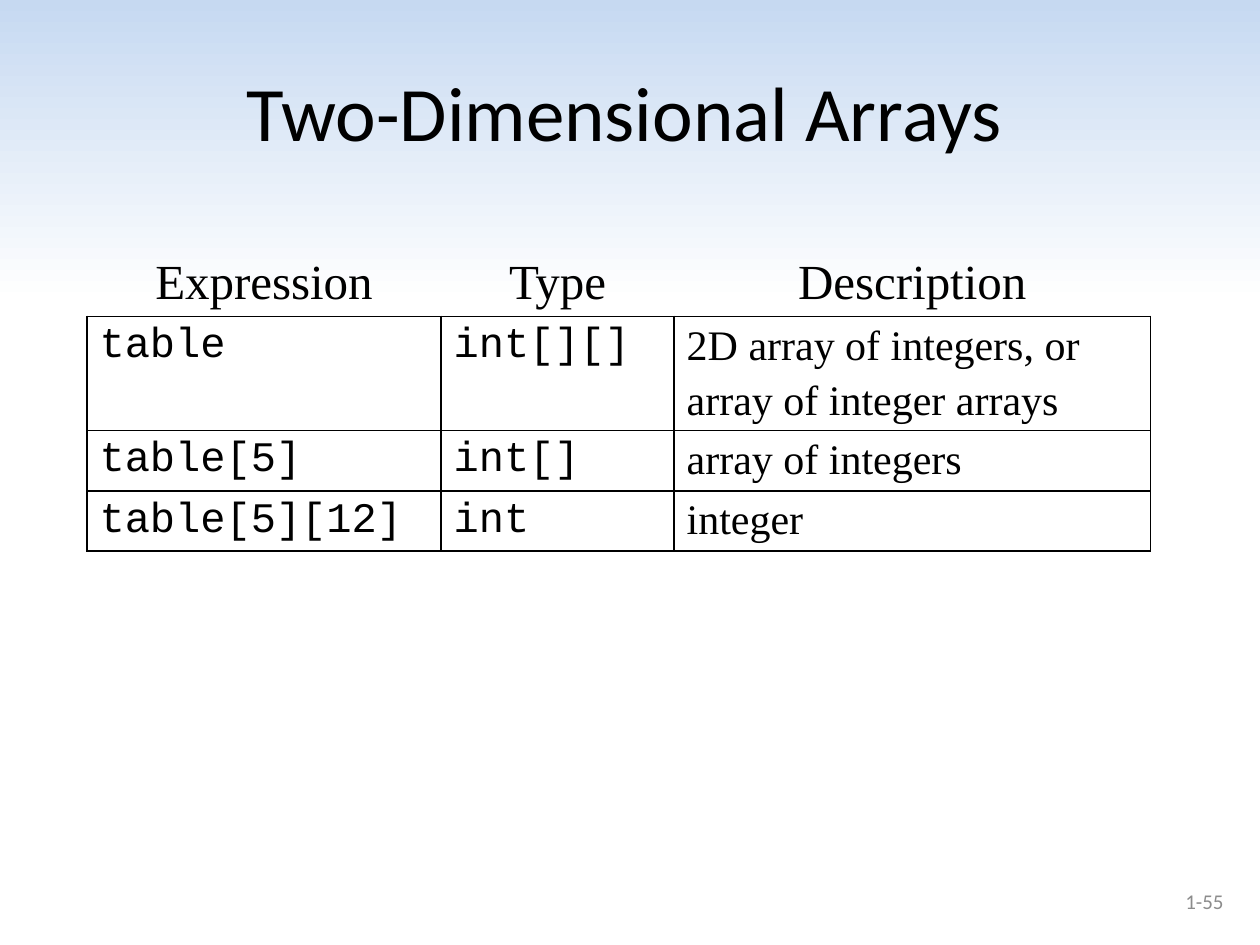
"""Build the slide on two-dimensional arrays with its table of expressions."""
from lxml import etree
from pptx import Presentation
from pptx import util as u
from pptx.dml.color import RGBColor
from pptx.enum import text
from pptx.oxml import ns

COLORS = {"ink": "000000", "sky": "C6D9F1", "paper": "FFFFFF", "number": "8C8C8C"}
SERIF, MONO, SANS = "Times New Roman", "Courier New", "Calibri"
LEFT, CENTER, RIGHT = text.PP_ALIGN.LEFT, text.PP_ALIGN.CENTER, text.PP_ALIGN.RIGHT


def write(frame, lines, name, size, alignment, color="ink"):
    """Write one paragraph per line in a single format."""
    for index, line in enumerate(lines):
        paragraph = frame.add_paragraph() if index else frame.paragraphs[0]
        paragraph.alignment = alignment
        if index:
            paragraph.space_before = u.Pt(5)
        run = paragraph.add_run()
        run.text = line
        for attribute, value in {"name": name, "size": u.Pt(size), "bold": False}.items():
            setattr(run.font, attribute, value)
        run.font.color.rgb = RGBColor.from_string(COLORS[color])


def draw_borders(cell, drawn_sides):
    """Rule the given sides of a cell and clear the others."""
    properties = cell._tc.get_or_add_tcPr()
    for position, side in enumerate("LRTB"):
        line = etree.Element(ns.qn(f"a:ln{side}"), w=str(u.Pt(1)))
        if side in drawn_sides:
            fill = etree.SubElement(line, ns.qn("a:solidFill"))
            etree.SubElement(fill, ns.qn("a:srgbClr"), val=COLORS["ink"])
        else:
            etree.SubElement(line, ns.qn("a:noFill"))
        properties.insert(position, line)


presentation = Presentation()
presentation.slide_width, presentation.slide_height = u.Inches(10), u.Inches(7.5)
slide = presentation.slides.add_slide(presentation.slide_layouts[5])

background = slide.background.fill
background.gradient()
background.gradient_angle = 90
for stop, (position, color) in zip(background.gradient_stops, [(0.68, "paper"), (1, "sky")]):
    stop.position = position
    stop.color.rgb = RGBColor.from_string(COLORS[color])

title = slide.shapes.title
title_box = {"left": 0.17, "top": 0.33, "width": 9.58, "height": 1.09}
for attribute, value in title_box.items():
    setattr(title, attribute, u.Inches(value))
title.text_frame.vertical_anchor = text.MSO_ANCHOR.MIDDLE
write(title.text_frame, ["Two-Dimensional Arrays"], SANS, 44, CENTER)

rows = [
    ["Expression", "Type", "Description"],
    ["table", "int[][]", "2D array of integers, or\narray of integer arrays"],
    ["table[5]", "int[]", "array of integers"],
    ["table[5][12]", "int", "integer"],
]
column_widths = [2.81, 1.85, 3.78]
row_heights = [0.44, 0.84, 0.44, 0.44]
table = slide.shapes.add_table(
    len(rows), len(column_widths), u.Inches(0.69), u.Inches(1.98),
    u.Inches(sum(column_widths)), u.Inches(sum(row_heights)),
).table
table.first_row = table.horz_banding = False
for column, width in zip(table.columns, column_widths):
    column.width = u.Inches(width)
for row_index, (row, height) in enumerate(zip(rows, row_heights)):
    table.rows[row_index].height = u.Inches(height)
    for column_index, content in enumerate(row):
        cell = table.cell(row_index, column_index)
        cell.fill.background()
        if row_index == 0:
            write(cell.text_frame, [content], SERIF, 28, CENTER)
            draw_borders(cell, "B")
        else:
            name = SERIF if column_index == 2 else MONO
            write(cell.text_frame, content.split("\n"), name, 24, LEFT)
            draw_borders(cell, "LRTB")

number = slide.shapes.add_textbox(u.Inches(7.48), u.Inches(6.95), u.Inches(2.33), u.Inches(0.4))
number.text_frame.word_wrap = True
number.text_frame.vertical_anchor = text.MSO_ANCHOR.MIDDLE
write(number.text_frame, ["1-55"], SANS, 12, RIGHT, "number")

presentation.save("out.pptx")
